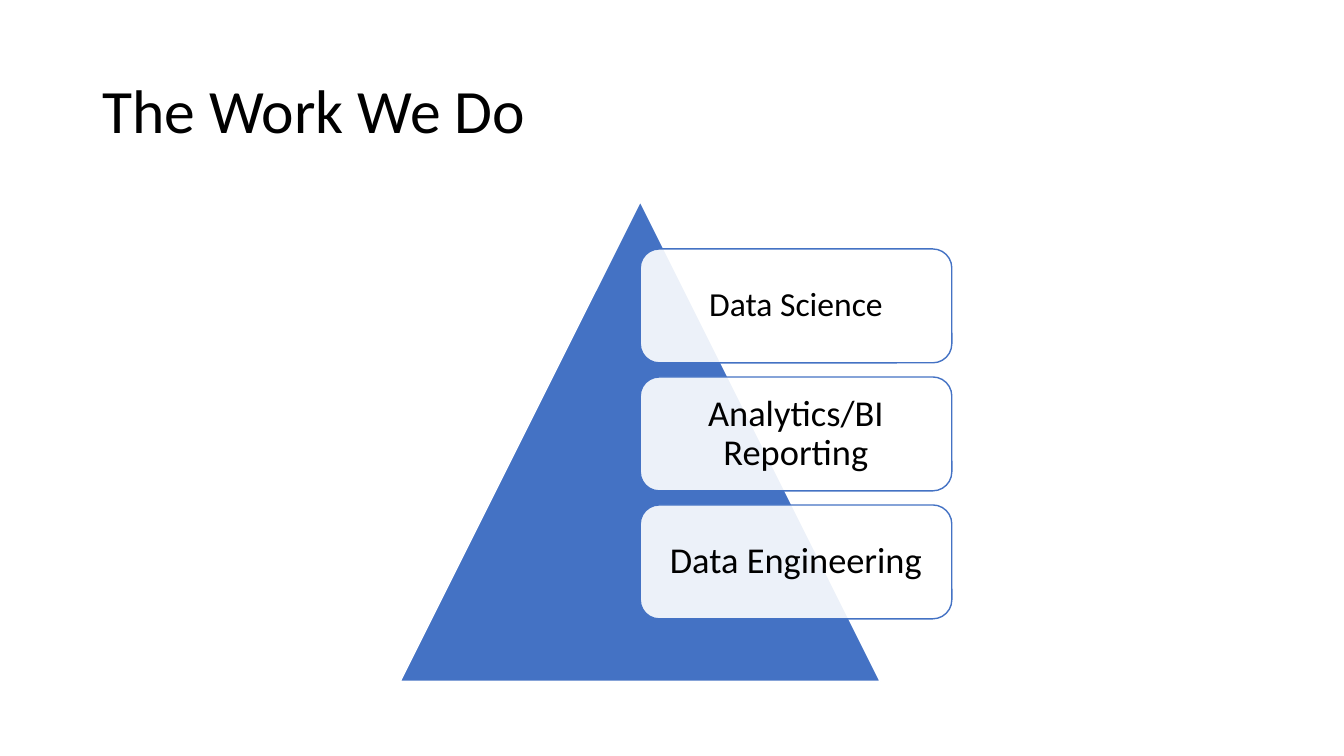
from lxml.etree import SubElement
from pptx import Presentation
from pptx.dml.color import RGBColor
from pptx.enum.shapes import MSO_SHAPE
from pptx.enum.text import MSO_ANCHOR, PP_ALIGN
from pptx.oxml.ns import qn
from pptx.util import Inches, Pt


def rgb(value):
    return RGBColor.from_string(value)


def apply(target, values):
    for name, value in values.items():
        setattr(target, name, value)


class Deck:
    font = "Calibri"
    black, white, blue = "000000", "FFFFFF", "4472C4"

    def __init__(self, prs):
        self.s = prs.slides.add_slide(prs.slide_layouts[6])

    def label(self, sp, text, size, align, inset_x, inset_y):
        tf = sp.text_frame
        apply(tf, {
            "word_wrap": True,
            "vertical_anchor": MSO_ANCHOR.MIDDLE,
            "margin_left": Inches(inset_x),
            "margin_right": Inches(inset_x),
            "margin_top": Inches(inset_y),
            "margin_bottom": Inches(inset_y),
        })
        p = tf.paragraphs[0]
        apply(p, {"alignment": align, "line_spacing": 0.9})
        r = p.add_run()
        r.text = text
        apply(r.font, {"name": self.font, "size": Pt(size)})
        r.font.color.rgb = rgb(self.black)

    def title(self, box, text):
        sp = self.s.shapes.add_textbox(*map(Inches, box))
        self.label(sp, text, 44, PP_ALIGN.LEFT, 0.1, 0.05)

    def shape(self, kind, box, fill, line, opacity=100):
        sp = self.s.shapes.add_shape(kind, *map(Inches, box))
        sp.shadow.inherit = False
        sp.fill.solid()
        sp.fill.fore_color.rgb = rgb(fill)
        sp.line.color.rgb = rgb(line)
        sp.line.width = Pt(1)
        if opacity < 100:
            color = sp.element.spPr.find(qn("a:solidFill"))[0]
            SubElement(color, qn("a:alpha"), val=str(opacity * 1000))
        return sp

    def triangle(self, box):
        self.shape(MSO_SHAPE.ISOSCELES_TRIANGLE, box, self.blue, self.white)

    def card(self, box, text, size, inset):
        sp = self.shape(MSO_SHAPE.ROUNDED_RECTANGLE, box, self.white, self.blue, 90)
        self.label(sp, text, size, PP_ALIGN.CENTER, inset, inset)


prs = Presentation()
apply(prs, {"slide_width": Inches(13.33), "slide_height": Inches(7.5)})
deck = Deck(prs)
deck.title((0.92, 0.4, 11.5, 1.45), "The Work We Do")
deck.triangle((3.97, 2, 4.76, 4.76))
cards = [
    ("Data Science", 24, 0.1),
    ("Analytics/BI Reporting", 26, 0.11),
    ("Data Engineering", 26, 0.11),
]
for i, (text, size, inset) in enumerate(cards):
    deck.card((6.35, 2.47 + i * 1.27, 3.09, 1.13), text, size, inset)
prs.save("out.pptx")
